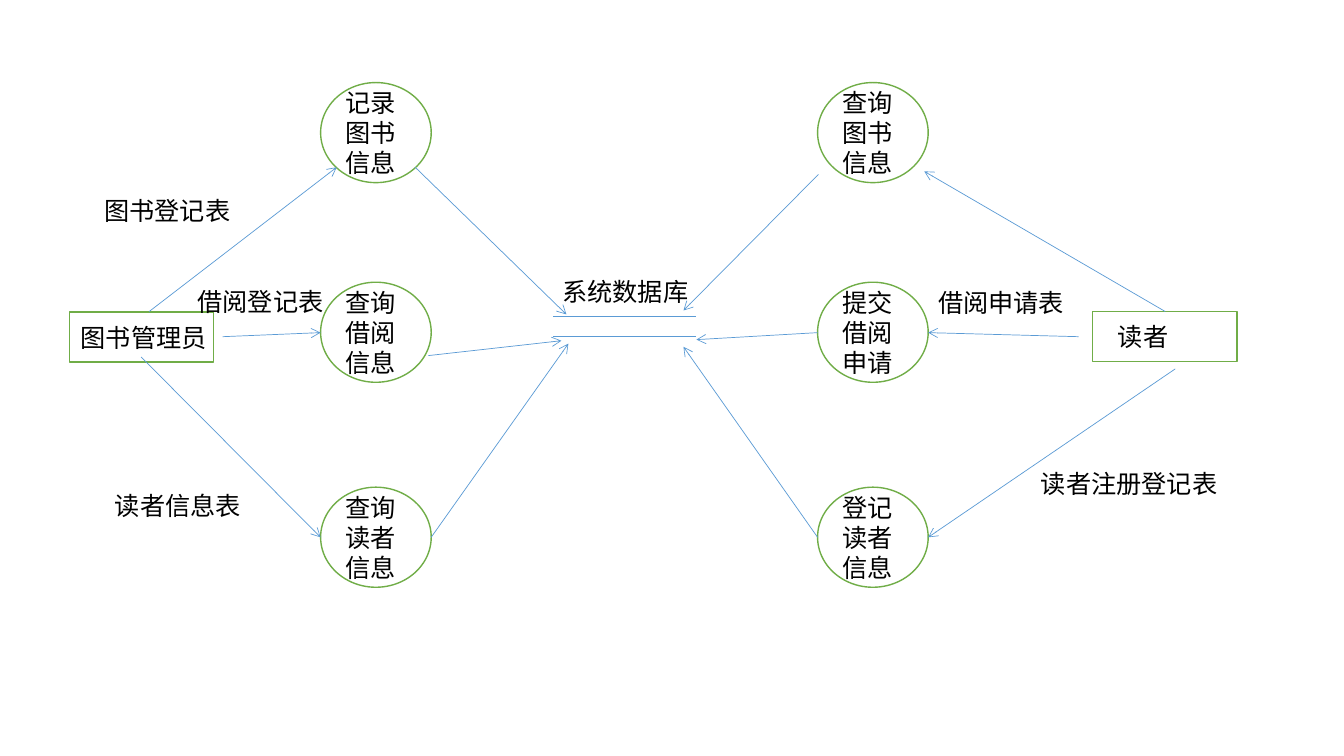
"""Build a data flow diagram of a library lending system."""
from pptx import Presentation
from pptx.dml.color import RGBColor as RGB
from pptx.enum.shapes import MSO_CONNECTOR as CONN, MSO_SHAPE as SHAPE
from pptx.enum.text import MSO_ANCHOR as ANCHOR, PP_ALIGN as ALIGN
from pptx.oxml.ns import qn
from pptx.util import Pt
from lxml.etree import SubElement

THEME = {
    "font": {"name": "Calibri", "size": Pt(18)},
    "text": RGB(0, 0, 0),
    "fill": RGB(255, 255, 255),
    "outline": RGB(0x70, 0xAD, 0x47),
    "flow": RGB(0x5B, 0x9B, 0xD5),
    "outline_width": Pt(1),
    "flow_width": Pt(0.5),
}


def write(s, text, **frame):
    tf = s.text_frame
    for name, value in frame.items():
        setattr(tf, name, value)
    p = tf.paragraphs[0]
    p.alignment = ALIGN.LEFT
    r = p.add_run()
    r.text = text
    for name, value in THEME["font"].items():
        setattr(r.font, name, value)
    r.font.color.rgb = THEME["text"]


def connect(x1, y1, x2, y2, arrow=True):
    c = slide.shapes.add_connector(CONN.STRAIGHT, Pt(x1), Pt(y1), Pt(x2), Pt(y2))
    c.line.color.rgb = THEME["flow"]
    c.line.width = THEME["flow_width"]
    if arrow:
        SubElement(c.line._get_or_add_ln(), qn("a:tailEnd"), type="arrow")
    SubElement(c._element.spPr, qn("a:effectLst"))


prs = Presentation()
prs.slide_width, prs.slide_height = Pt(960), Pt(540)
slide = prs.slides.add_slide(prs.slide_layouts[6])

ENTITY, PROCESS = (SHAPE.RECTANGLE, 103, 35.5), (SHAPE.FLOWCHART_CONNECTOR, 79, 71.5)
nodes = [
    (ENTITY, 49.7, 223, 8, "图书管理员"),
    (ENTITY, 780.5, 222.7, 18, "读者"),
]
columns = [
    (229, ["记录图书信息", "查询借阅信息", "查询读者信息"]),
    (584, ["查询图书信息", "提交借阅申请", "登记读者信息"]),
]
for x, names in columns:
    nodes += [(PROCESS, x, y, 6, name) for y, name in zip((59, 201.6, 348), names)]

for (kind, width, height), x, y, inset, name in nodes:
    s = slide.shapes.add_shape(kind, Pt(x), Pt(y), Pt(width), Pt(height))
    s.shadow.inherit = False
    s.fill.solid()
    s.fill.fore_color.rgb = THEME["fill"]
    s.line.color.rgb = THEME["outline"]
    s.line.width = THEME["outline_width"]
    write(s, name, word_wrap=True, vertical_anchor=ANCHOR.MIDDLE, margin_left=Pt(inset),
          margin_right=0, margin_top=0, margin_bottom=0)

for y in (226.1, 240.5):
    connect(395.3, y, 496.8, y, arrow=False)

librarian_flows = [
    (106.6, 222.5, 240.5, 119.5),
    (159, 240.5, 229, 237.6),
    (100.8, 255, 229, 383.8),
    (296.6, 119.5, 404.6, 224.6),
    (306, 254, 401, 243.4),
    (308, 383.8, 406, 245.5),
]
reader_flows = [
    (832.3, 222.5, 660.2, 122.4),
    (770.4, 240.5, 663, 237.6),
    (839.5, 263.5, 663, 383.8),
    (584.6, 124.6, 488.2, 221.8),
    (584, 237.6, 497.5, 242.6),
    (584, 383.8, 488.2, 247.7),
]
for flow in librarian_flows + reader_flows:
    connect(*flow)

labels = [
    (394.5, 193.7, 118, "系统数据库"),
    (67.5, 136, 125, "图书登记表"),
    (134, 201, 120, "借阅登记表"),
    (75, 347, 125, "读者信息表"),
    (736.5, 331, 147, "读者注册登记表"),
    (663, 201.6, 147, "借阅申请表"),
]
for x, y, width, name in labels:
    s = slide.shapes.add_textbox(Pt(x), Pt(y), Pt(width), Pt(29))
    write(s, name, word_wrap=True)

prs.save("out.pptx")
